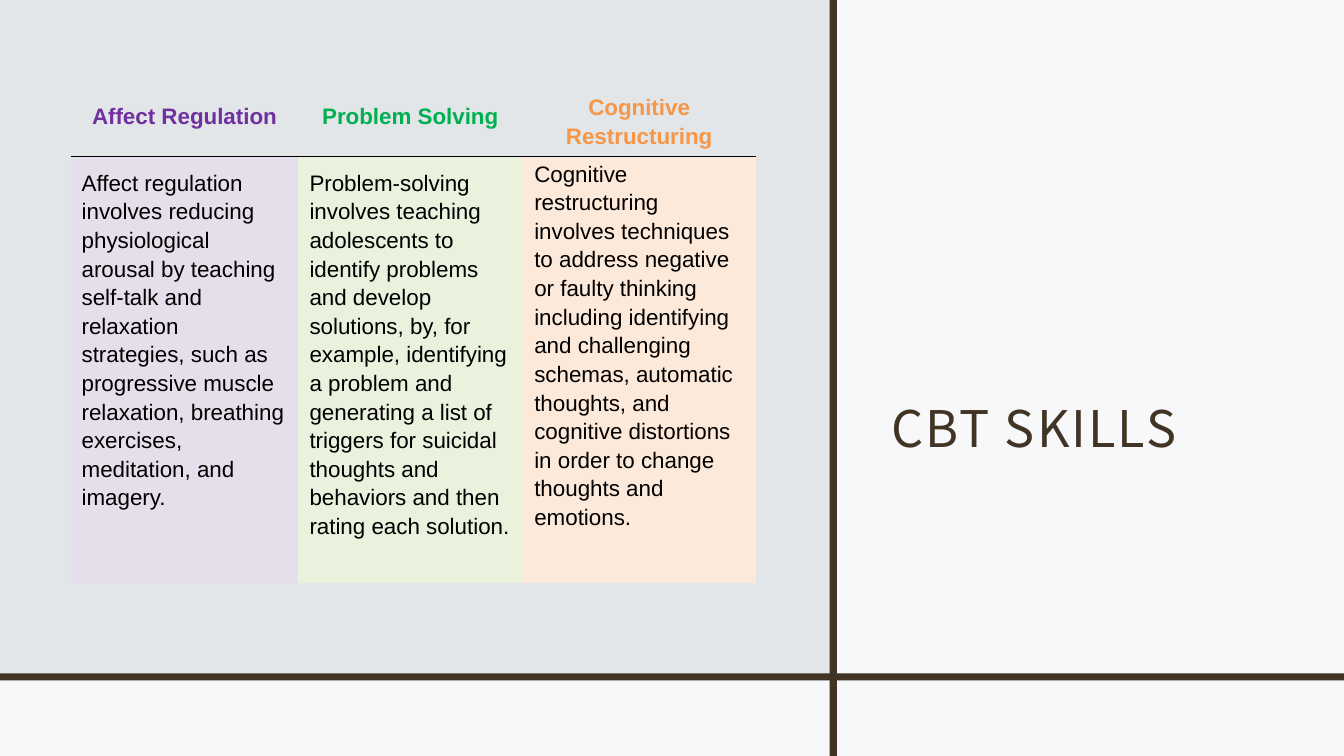
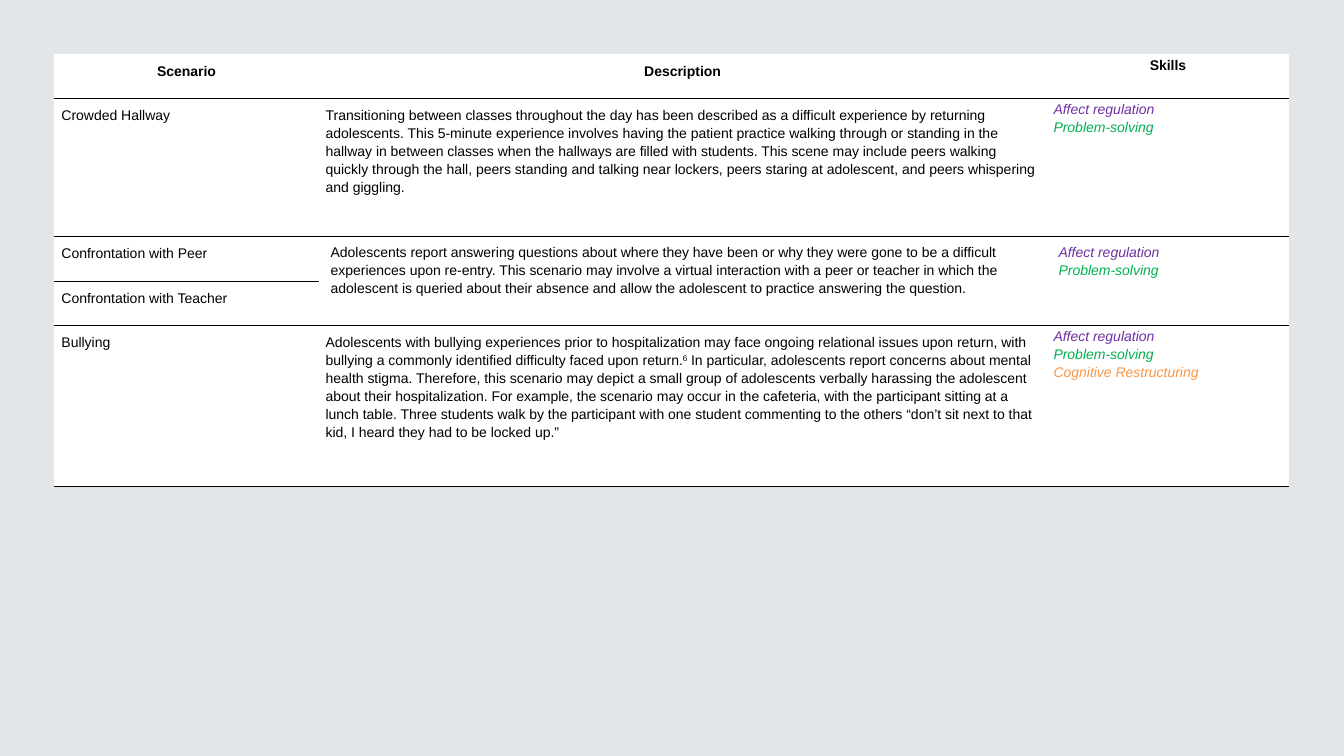
from dataclasses import dataclass

from lxml import etree
from pptx import Presentation
from pptx.dml.color import RGBColor
from pptx.enum.shapes import MSO_SHAPE as Shape
from pptx.enum.text import MSO_ANCHOR as Anchor, MSO_AUTO_SIZE as AutoSize, PP_ALIGN as Align
from pptx.oxml.ns import qn
from pptx.util import Inches, Pt

COLORS = {
    "background": "E2E6E8", "panel": "FFFFFF", "bar": "413424", "text": "000000",
    "affect": "7030A0", "problem": "00B050", "cognitive": "F79646",
    "affect_tint": "E5DFEC", "problem_tint": "EAF1DD", "cognitive_tint": "FDE9D9",
}
BODY_FONT, TITLE_FONT = "Arial", "Noto Sans CJK JP"
NO_STYLE = "{2D5ABB26-0587-4C30-8999-92F81FD0307C}"
SLIDE_W, SLIDE_H = 13.33, 7.5
BAR_X, BAR_Y, BAR = 8.23, 6.68, 0.07

# Cell insets: left, top, right, bottom
WIDE = (0.11, 0.11, 0.11, 0.11)
WIDE_TIGHT = (0.12, 0.02, 0.12, 0)
SMALL = (0.07, 0.07, 0.07, 0.07)
SMALL_TIGHT = (0.07, 0.01, 0.07, 0)
MERGED = (0.12, 0.06, 0.12, 0.06)


@dataclass(frozen=True)
class Box:
    left: float
    top: float
    width: float
    height: float

    def lengths(self) -> tuple:
        return tuple(Inches(v) for v in (self.left, self.top, self.width, self.height))


@dataclass(frozen=True)
class Para:
    pieces: tuple  # every second piece is superscript
    color: str = "text"
    bold: bool = False
    italic: bool = False


@dataclass(frozen=True)
class Cell:
    paras: tuple
    insets: tuple
    fill: str | None = "panel"
    edges: str = "TB"
    align: Align = Align.LEFT
    row_span: int = 1


@dataclass(frozen=True)
class Grid:
    box: Box
    columns: tuple
    rows: tuple
    size: int


def rgb(name: str) -> RGBColor:
    return RGBColor.from_string(COLORS[name])


def header(text: str, insets: tuple, color: str = "text", fill: str | None = "panel") -> Cell:
    return Cell((Para((text,), color, bold=True),), insets, fill, "B", Align.CENTER)


def body(*pieces: str, insets: tuple = SMALL, fill: str = "panel",
         edges: str = "TB", row_span: int = 1) -> Cell:
    return Cell((Para(pieces),), insets, fill, edges, row_span=row_span)


def skills(*names: str, insets: tuple = SMALL_TIGHT, row_span: int = 1) -> Cell:
    return Cell(tuple(Para((SKILLS[name],), name, italic=True) for name in names),
                insets, row_span=row_span)


SKILLS = {"affect": "Affect regulation", "problem": "Problem-solving",
          "cognitive": "Cognitive Restructuring"}

SKILL_GRID = Grid(Box(0.7, 0.89, 6.8, 4.89), (2.26, 2.22, 2.32), (0.66, 4.23), 16)
SKILL_CELLS = [
    [header("Affect Regulation", WIDE, "affect", None),
     header("Problem Solving", WIDE, "problem", None),
     header("Cognitive Restructuring", WIDE_TIGHT, "cognitive", None)],
    [body("Affect regulation involves reducing physiological arousal by teaching self-talk and "
          "relaxation strategies, such as progressive muscle relaxation, breathing exercises, "
          "meditation, and imagery.", insets=WIDE, fill="affect_tint", edges="T"),
     body("Problem-solving involves teaching adolescents to identify problems and develop "
          "solutions, by, for example, identifying a problem and generating a list of triggers "
          "for suicidal thoughts and behaviors and then rating each solution.",
          insets=WIDE, fill="problem_tint", edges="T"),
     body("Cognitive restructuring involves techniques to address negative or faulty thinking "
          "including identifying and challenging schemas, automatic thoughts, and cognitive "
          "distortions in order to change thoughts and emotions.",
          insets=WIDE_TIGHT, fill="cognitive_tint", edges="T")],
]

SCENARIO_GRID = Grid(Box(0.54, 0.54, 12.25, 4.29), (2.62, 7.22, 2.41),
                     (0.44, 1.37, 0.44, 0.44, 1.6), 10)
SCENARIO_CELLS = [
    [header("Scenario", SMALL), header("Description", SMALL), header("Skills", SMALL_TIGHT)],
    [body("Crowded Hallway"),
     body("Transitioning between classes throughout the day has been described as a difficult "
          "experience by returning adolescents. This 5-minute experience involves having the "
          "patient practice walking through or standing in the hallway in between classes when "
          "the hallways are filled with students. This scene may include peers walking quickly "
          "through the hall, peers standing and talking near lockers, peers staring at "
          "adolescent, and peers whispering and giggling."),
     skills("affect", "problem")],
    [body("Confrontation with Peer"),
     body("Adolescents report answering questions about where they have been or why they were "
          "gone to be a difficult experiences upon re-entry. This scenario may involve a virtual "
          "interaction with a peer or teacher in which the adolescent is queried about their "
          "absence and allow the adolescent to practice answering the question.",
          insets=MERGED, row_span=2),
     skills("affect", "problem", insets=MERGED, row_span=2)],
    [body("Confrontation with Teacher"), None, None],
    [body("Bullying"),
     body("Adolescents with bullying experiences prior to hospitalization may face ongoing "
          "relational issues upon return, with bullying a commonly identified difficulty faced "
          "upon return.", "6",
          " In particular, adolescents report concerns about mental health stigma. Therefore, "
          "this scenario may depict a small group of adolescents verbally harassing the "
          "adolescent about their hospitalization. For example, the scenario may occur in the "
          "cafeteria, with the participant sitting at a lunch table. Three students walk by the "
          "participant with one student commenting to the others “don’t sit next to that kid, "
          "I heard they had to be locked up.”"),
     skills("affect", "problem", "cognitive")],
]


def set_insets(target, insets: tuple) -> None:
    target.margin_left, target.margin_top, target.margin_right, target.margin_bottom = (
        Inches(v) for v in insets)


def add_slide(deck, layout: int):
    slide = deck.slides.add_slide(deck.slide_layouts[layout])
    slide.background.fill.solid()
    slide.background.fill.fore_color.rgb = rgb("background")
    return slide


def add_band(slide, box: Box, color: str, opacity: int = 100) -> None:
    band = slide.shapes.add_shape(Shape.RECTANGLE, *box.lengths())
    band.shadow.inherit = False
    band.line.fill.background()
    band.fill.solid()
    band.fill.fore_color.rgb = rgb(color)
    if opacity < 100:
        tint = band.fill._xPr.find(".//" + qn("a:srgbClr"))
        etree.SubElement(tint, qn("a:alpha")).set("val", str(opacity * 1000))


def set_borders(cell, edges: str) -> None:
    properties = cell._tc.get_or_add_tcPr()
    for position, edge in enumerate("LRTB"):
        line = etree.Element(qn(f"a:ln{edge}"), w=str(Pt(1)))
        if edge in edges:
            fill = etree.SubElement(line, qn("a:solidFill"))
            etree.SubElement(fill, qn("a:srgbClr")).set("val", COLORS["text"])
        else:
            etree.SubElement(line, qn("a:noFill"))
        properties.insert(position, line)


def fill_cell(cell, content: Cell, size: int) -> None:
    set_insets(cell, content.insets)
    cell.vertical_anchor = Anchor.TOP
    if content.fill:
        cell.fill.solid()
        cell.fill.fore_color.rgb = rgb(content.fill)
    else:
        cell.fill.background()
    frame = cell.text_frame
    for index, para in enumerate(content.paras):
        paragraph = frame.add_paragraph() if index else frame.paragraphs[0]
        paragraph.alignment = content.align
        paragraph.line_spacing = 1.15
        for number, piece in enumerate(para.pieces):
            run = paragraph.add_run()
            run.text = piece
            run.font.name, run.font.size = BODY_FONT, Pt(size)
            run.font.bold, run.font.italic = para.bold, para.italic
            run.font.color.rgb = rgb(para.color)
            if number % 2:
                run.font._element.set("baseline", "30000")


def add_grid(slide, grid: Grid, cells: list[list[Cell | None]]) -> None:
    table = slide.shapes.add_table(len(grid.rows), len(grid.columns), *grid.box.lengths()).table
    table.first_row = table.horz_banding = False
    table._tbl.tblPr.find(qn("a:tableStyleId")).text = NO_STYLE
    for column, width in zip(table.columns, grid.columns):
        column.width = Inches(width)
    for row, height in zip(table.rows, grid.rows):
        row.height = Inches(height)
    for r, contents in enumerate(cells):
        for c, content in enumerate(contents):
            if content is None:
                continue
            cell = table.cell(r, c)
            if content.row_span > 1:
                cell.merge(table.cell(r + content.row_span - 1, c))
            fill_cell(cell, content, grid.size)
            set_borders(cell, content.edges)


def set_title(slide, text: str, box: Box) -> None:
    title = slide.shapes.title
    title.left, title.top, title.width, title.height = box.lengths()
    frame = title.text_frame
    frame.text = text
    frame.word_wrap = True
    frame.auto_size = AutoSize.NONE
    frame.vertical_anchor = Anchor.BOTTOM
    set_insets(frame, (0.12, 0.12, 0.12, 0.1))
    paragraph = frame.paragraphs[0]
    paragraph.alignment = Align.LEFT
    paragraph.line_spacing = 1.25
    paragraph.space_after = Pt(6)
    font = paragraph.runs[0].font
    font.name, font.size, font.bold = TITLE_FONT, Pt(36), False
    font.color.rgb = rgb("bar")
    font._element.set("spc", "150")


def build_skills(deck) -> None:
    slide = add_slide(deck, 5)
    # Pale panels around the crossing bars
    right, below = BAR_X + BAR, BAR_Y + BAR
    for panel in (Box(right, 0, SLIDE_W - right, BAR_Y),
                  Box(0, below, BAR_X, SLIDE_H - below),
                  Box(right, below, SLIDE_W - right, SLIDE_H - below)):
        add_band(slide, panel, "panel", 75)
    add_band(slide, Box(0, BAR_Y, SLIDE_W, BAR), "bar")
    add_band(slide, Box(BAR_X, 0, BAR, SLIDE_H), "bar")
    # Title stands in front of its panel
    set_title(slide, "CBT SKILLS", Box(8.72, 1.87, 4.11, 2.77))
    slide.shapes._spTree.append(slide.shapes.title._element)
    add_grid(slide, SKILL_GRID, SKILL_CELLS)


def build_scenarios(deck) -> None:
    add_grid(add_slide(deck, 6), SCENARIO_GRID, SCENARIO_CELLS)


def main() -> None:
    deck = Presentation()
    deck.slide_width, deck.slide_height = Inches(SLIDE_W), Inches(SLIDE_H)
    build_skills(deck)
    build_scenarios(deck)
    deck.save("out.pptx")


if __name__ == "__main__":
    main()
